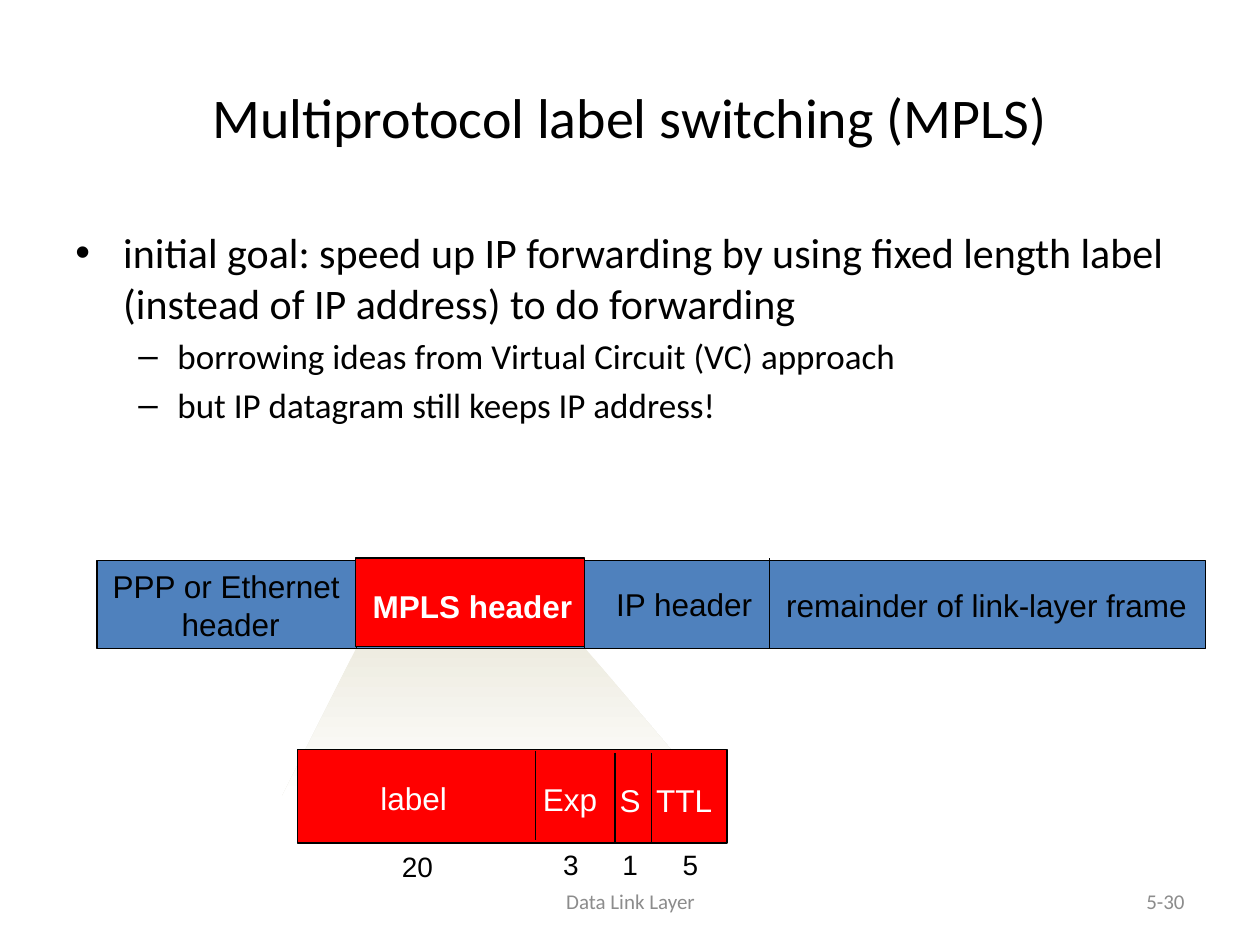
"""Build the MPLS header slide."""
from dataclasses import dataclass
from typing import Optional

from lxml.etree import SubElement
from pptx import Presentation
from pptx.dml.color import RGBColor
from pptx.enum.shapes import MSO_CONNECTOR, MSO_SHAPE
from pptx.enum.text import MSO_ANCHOR, MSO_AUTO_SIZE, PP_ALIGN
from pptx.oxml.ns import qn
from pptx.util import Pt

PX = 9144
BLACK = RGBColor(0x00, 0x00, 0x00)
WHITE = RGBColor(0xFF, 0xFF, 0xFF)
GRAY = RGBColor(0x8C, 0x8C, 0x8C)
BLUE = RGBColor(0x4F, 0x81, 0xBD)
RED = RGBColor(0xFF, 0x00, 0x00)
CREAM = RGBColor(0xEE, 0xEC, 0xE1)


@dataclass(frozen=True)
class Box:
    x: int
    y: int
    w: int
    h: int

    def emu(self) -> tuple[int, int, int, int]:
        return self.x * PX, self.y * PX, self.w * PX, self.h * PX


@dataclass(frozen=True)
class Label:
    text: str
    box: Box
    size: int = 18
    color: RGBColor = BLACK
    font: str = "Arial"
    align: PP_ALIGN = PP_ALIGN.LEFT
    bold: bool = False
    wrap: bool = False
    fill: Optional[RGBColor] = None


@dataclass(frozen=True)
class Bullet:
    text: str
    char: str
    level: int
    size: int
    margin: int
    hang: int


@dataclass(frozen=True)
class Divider:
    x: int
    top: int
    bottom: int


HEADINGS = [
    Label("Data Link Layer", Box(342, 695, 317, 40), 12, GRAY, "Calibri", PP_ALIGN.CENTER, wrap=True),
    Label("5-30", Box(717, 695, 233, 40), 12, GRAY, "Calibri", PP_ALIGN.RIGHT, wrap=True),
    Label("Multiprotocol label switching (MPLS)", Box(50, 30, 900, 125), 32, BLACK, "Calibri",
          PP_ALIGN.CENTER, wrap=True),
]
BULLETS = [
    Bullet("initial goal: speed up IP forwarding by using fixed length label "
           "(instead of IP address) to do forwarding", "•", 0, 24, 38, 38),
    Bullet("borrowing ideas from Virtual Circuit (VC) approach", "–", 1, 20, 81, 31),
    Bullet("but IP datagram still keeps IP address!", "–", 1, 20, 81, 31),
]
FRAME_LABELS = [
    Label("PPP or Ethernet \nheader", Box(79, 445, 208, 70), align=PP_ALIGN.CENTER),
    Label("IP header", Box(479, 459, 128, 40), align=PP_ALIGN.CENTER),
    Label("remainder of link-layer frame", Box(614, 460, 338, 40)),
]
FRAME_DIVIDERS = [Divider(283, 444, 515), Divider(464, 443, 514), Divider(611, 443, 515)]
MPLS_LABEL = Label("MPLS header", Box(280, 461, 190, 40), color=WHITE, align=PP_ALIGN.CENTER, bold=True)
FIELD_LABELS = [
    Label("label", Box(292, 613, 73, 40), color=WHITE, fill=RED),
    Label("Exp", Box(421, 614, 63, 40), color=WHITE, fill=RED),
    Label("S", Box(482, 615, 37, 40), color=WHITE, fill=RED),
    Label("TTL", Box(511, 615, 65, 40), color=WHITE, fill=RED),
]
FIELD_DIVIDERS = [Divider(425, 596, 667), Divider(488, 598, 670), Divider(517, 598, 669)]
BIT_COUNTS = [
    Label("20", Box(309, 669, 45, 37), 16),
    Label("3", Box(437, 668, 32, 37), 16),
    Label("1", Box(484, 668, 32, 37), 16),
    Label("5", Box(532, 668, 32, 37), 16),
]


def style_paragraph(p, font: str, size: int, color: RGBColor, bold: bool = False) -> None:
    for r in p.runs:
        r.font.name = font
        r.font.size = Pt(size)
        r.font.color.rgb = color
        r.font.bold = bold


def add_label(shapes, label: Label) -> None:
    sp = shapes.add_textbox(*label.box.emu())
    if label.fill is not None:
        sp.fill.solid()
        sp.fill.fore_color.rgb = label.fill
    tf = sp.text_frame
    tf.text = label.text
    tf.word_wrap = label.wrap
    if label.wrap:
        tf.vertical_anchor = MSO_ANCHOR.MIDDLE
    else:
        tf.auto_size = MSO_AUTO_SIZE.SHAPE_TO_FIT_TEXT
    for p in tf.paragraphs:
        p.alignment = label.align
        style_paragraph(p, label.font, label.size, label.color, label.bold)


def add_bullets(shapes, box: Box, bullets: list[Bullet]) -> None:
    tf = shapes.add_textbox(*box.emu()).text_frame
    tf.word_wrap = True
    tf.text = "\n".join(b.text for b in bullets)
    for p, bullet in zip(tf.paragraphs, bullets):
        p.level = bullet.level
        p.space_before = Pt(bullet.size * 0.2)
        style_paragraph(p, "Calibri", bullet.size, BLACK)
        pPr = p._p.get_or_add_pPr()
        pPr.set("marL", str(bullet.margin * PX))
        pPr.set("indent", str(-bullet.hang * PX))
        SubElement(pPr, qn("a:buFont")).set("typeface", "Arial")
        SubElement(pPr, qn("a:buChar")).set("char", bullet.char)


def add_bar(shapes, box: Box, color: RGBColor) -> None:
    sp = shapes.add_shape(MSO_SHAPE.RECTANGLE, *box.emu())
    sp.shadow.inherit = False
    sp.fill.solid()
    sp.fill.fore_color.rgb = color
    sp.line.color.rgb = BLACK
    sp.line.width = Pt(0.75)


def add_divider(shapes, d: Divider) -> None:
    line = shapes.add_connector(MSO_CONNECTOR.STRAIGHT, d.x * PX, d.top * PX, d.x * PX, d.bottom * PX)
    line.line.color.rgb = BLACK
    line.line.width = Pt(0.75)
    SubElement(line._element.spPr, qn("a:effectLst"))


def add_zoom(shapes) -> None:
    builder = shapes.build_freeform(283, 514, scale=PX)
    builder.add_line_segments([(224, 632), (564, 632), (464, 514)], close=True)
    sp = builder.convert_to_shape()
    sp.shadow.inherit = False
    sp.line.fill.background()
    sp.fill.gradient()
    sp.fill.gradient_angle = 270
    for stop, color in zip(sp.fill.gradient_stops, (CREAM, WHITE)):
        stop.color.rgb = color


def main() -> None:
    prs = Presentation()
    prs.slide_width, prs.slide_height = 1000 * PX, 750 * PX
    shapes = prs.slides.add_slide(prs.slide_layouts[6]).shapes
    for label in HEADINGS:
        add_label(shapes, label)
    add_bullets(shapes, Box(50, 175, 900, 495), BULLETS)
    add_zoom(shapes)
    add_bar(shapes, Box(77, 445, 880, 70), BLUE)
    for label in FRAME_LABELS:
        add_label(shapes, label)
    for divider in FRAME_DIVIDERS:
        add_divider(shapes, divider)
    add_bar(shapes, Box(282, 443, 182, 70), RED)
    add_label(shapes, MPLS_LABEL)
    add_bar(shapes, Box(236, 595, 341, 74), RED)
    for label in FIELD_LABELS:
        add_label(shapes, label)
    for divider in FIELD_DIVIDERS:
        add_divider(shapes, divider)
    for label in BIT_COUNTS:
        add_label(shapes, label)
    prs.save("out.pptx")


if __name__ == "__main__":
    main()
